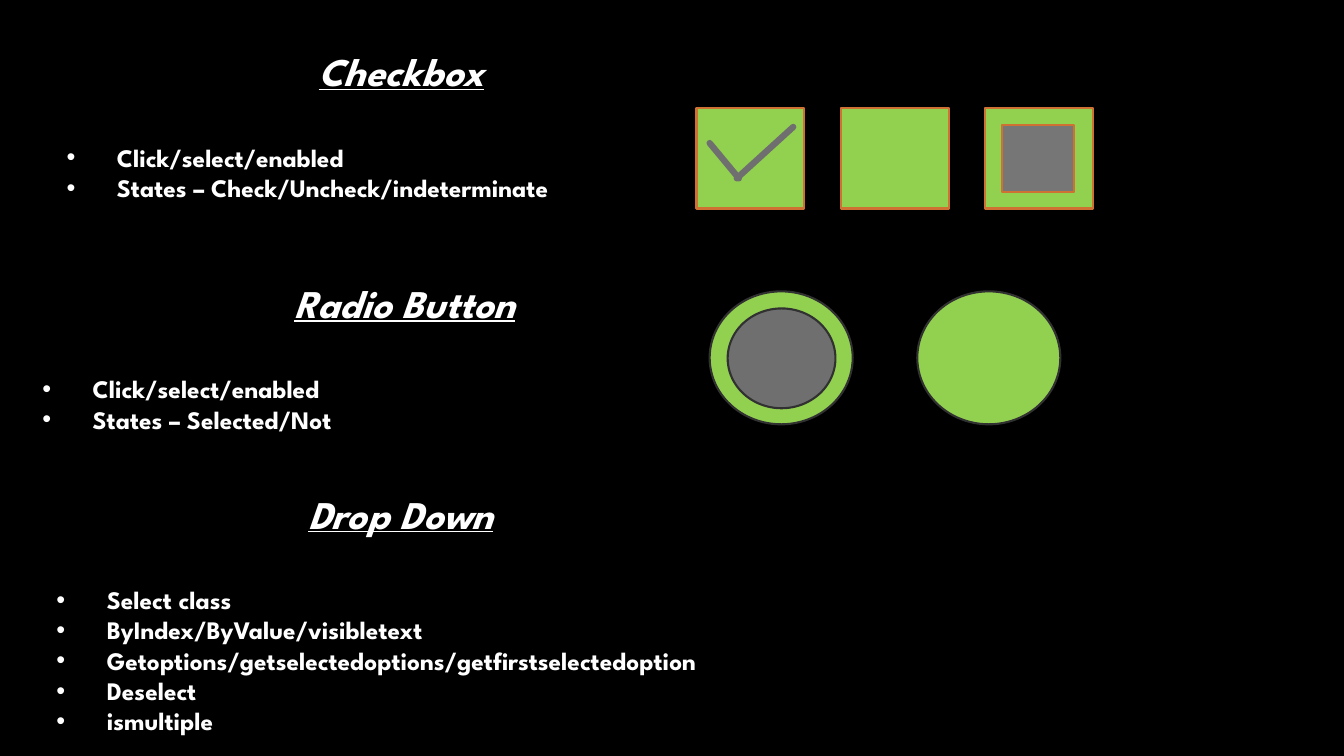
from dataclasses import dataclass

from lxml import etree
from pptx import Presentation
from pptx import util as u
from pptx.dml.color import RGBColor
from pptx.enum import shapes, text
from pptx.oxml import ns


@dataclass(frozen=True)
class Theme:
    font: str = "League Spartan"
    background: str = "000000"
    ink: str = "FFFFFF"
    green: str = "92D050"
    grey: str = "6F6F6F"
    mid_grey: str = "767676"
    orange: str = "CF7133"
    dark: str = "313131"
    heading_size: float = 28
    item_size: float = 18
    outline: float = 1.5
    tick_width: float = 4.5


@dataclass(frozen=True)
class Section:
    holder: int
    left: float
    top: float
    height: float
    heading: str
    items: tuple[str, ...]


@dataclass(frozen=True)
class Control:
    kind: shapes.MSO_SHAPE
    left: float
    top: float
    width: float
    height: float
    fill: str
    line: str


@dataclass(frozen=True)
class Stroke:
    start: tuple[float, float]
    end: tuple[float, float]


THEME = Theme()
SECTION_WIDTH = 629.3
HEADING_INDENT = 180
BULLET_INDENT = 36
LIST_GAP = 34
BOX, OVAL = shapes.MSO_SHAPE.RECTANGLE, shapes.MSO_SHAPE.OVAL

SECTIONS = [
    Section(1, 40.3, 30.2, 118.8, "Checkbox",
            ("Click/select/enabled", "States – Check/Uncheck/indeterminate")),
    Section(2, 23, 195.8, 118.8, "Radio Button",
            ("Click/select/enabled", "States – Selected/Not")),
    Section(4, 33.1, 346.3, 184.3, "Drop Down",
            ("Select class", "ByIndex/ByValue/visibletext",
             "Getoptions/getselectedoptions/getfirstselectedoption",
             "Deselect", "ismultiple")),
]

CONTROLS = [
    *(Control(BOX, 497.5 + 103.2 * i, 77, 77, 72, THEME.green, THEME.orange)
      for i in range(3)),
    Control(BOX, 715.7, 89.3, 51.8, 48.2, THEME.mid_grey, THEME.orange),
    *(Control(OVAL, 506.9 + 148.3 * i, 208.1, 102.2, 95, THEME.green, THEME.dark)
      for i in range(2)),
    Control(OVAL, 519.8, 220.3, 77, 71.3, THEME.grey, THEME.dark),
]

TICK = [
    Stroke((526.3, 127.4), (566.6, 90.7)),
    Stroke((527.8, 127.4), (506.9, 102.2)),
]


def apply(target, values: dict) -> None:
    for name, value in values.items():
        setattr(target, name, value)


def add_paragraph(p, words: str, size: float, indent: float,
                  before: float = 0, bullet: bool = False) -> None:
    apply(p, {"alignment": text.PP_ALIGN.LEFT, "line_spacing": 1.0,
              "space_before": u.Pt(before), "space_after": u.Pt(0)})
    pPr = p._p.get_or_add_pPr()
    pPr.set("marL", str(u.Pt(indent)))
    pPr.set("indent", str(u.Pt(-indent if bullet else 0)))
    if bullet:
        etree.SubElement(pPr, ns.qn("a:buFont"), typeface="Arial")
        etree.SubElement(pPr, ns.qn("a:buChar"), char="•")
    else:
        etree.SubElement(pPr, ns.qn("a:buNone"))
    r = p.add_run()
    r.text = words
    apply(r.font, {"name": THEME.font, "size": u.Pt(size), "bold": True,
                   "italic": not bullet, "underline": not bullet})
    r.font.color.rgb = RGBColor.from_string(THEME.ink)


def add_section(s, section: Section) -> None:
    sp = next(h for h in s.placeholders
              if h.placeholder_format.idx == section.holder)
    apply(sp, {"left": u.Pt(section.left), "top": u.Pt(section.top),
               "width": u.Pt(SECTION_WIDTH), "height": u.Pt(section.height)})
    tf = sp.text_frame
    apply(tf, {"word_wrap": True, "vertical_anchor": text.MSO_ANCHOR.TOP,
               "auto_size": text.MSO_AUTO_SIZE.SHAPE_TO_FIT_TEXT,
               "margin_left": u.Pt(7.2), "margin_right": u.Pt(7.2),
               "margin_top": u.Pt(3.6), "margin_bottom": u.Pt(3.6)})
    add_paragraph(tf.paragraphs[0], section.heading,
                  THEME.heading_size, HEADING_INDENT)
    for i, item in enumerate(section.items):
        add_paragraph(tf.add_paragraph(), item, THEME.item_size, BULLET_INDENT,
                      before=0 if i else LIST_GAP, bullet=True)


def add_control(s, control: Control) -> None:
    sp = s.shapes.add_shape(control.kind, u.Pt(control.left), u.Pt(control.top),
                            u.Pt(control.width), u.Pt(control.height))
    sp.shadow.inherit = False
    sp.fill.solid()
    sp.fill.fore_color.rgb = RGBColor.from_string(control.fill)
    sp.line.color.rgb = RGBColor.from_string(control.line)
    sp.line.width = u.Pt(THEME.outline)


def add_stroke(s, stroke: Stroke) -> None:
    ends = [u.Pt(v) for v in (*stroke.start, *stroke.end)]
    cxn = s.shapes.add_connector(shapes.MSO_CONNECTOR.STRAIGHT, *ends)
    cxn.line.color.rgb = RGBColor.from_string(THEME.grey)
    cxn.line.width = u.Pt(THEME.tick_width)
    spPr = cxn._element.spPr
    spPr.find(ns.qn("a:ln")).set("cap", "rnd")
    etree.SubElement(spPr, ns.qn("a:effectLst"))


def main() -> None:
    prs = Presentation()
    apply(prs, {"slide_width": u.Pt(960), "slide_height": u.Pt(540)})
    s = prs.slides.add_slide(prs.slide_layouts.get_by_name("Comparison"))
    s.background.fill.solid()
    s.background.fill.fore_color.rgb = RGBColor.from_string(THEME.background)
    for section in SECTIONS:
        add_section(s, section)
    used = {section.holder for section in SECTIONS}
    for sp in list(s.placeholders):
        if sp.placeholder_format.idx not in used:
            sp._element.getparent().remove(sp._element)
    for control in CONTROLS:
        add_control(s, control)
    for stroke in TICK:
        add_stroke(s, stroke)
    prs.save("out.pptx")


if __name__ == "__main__":
    main()
